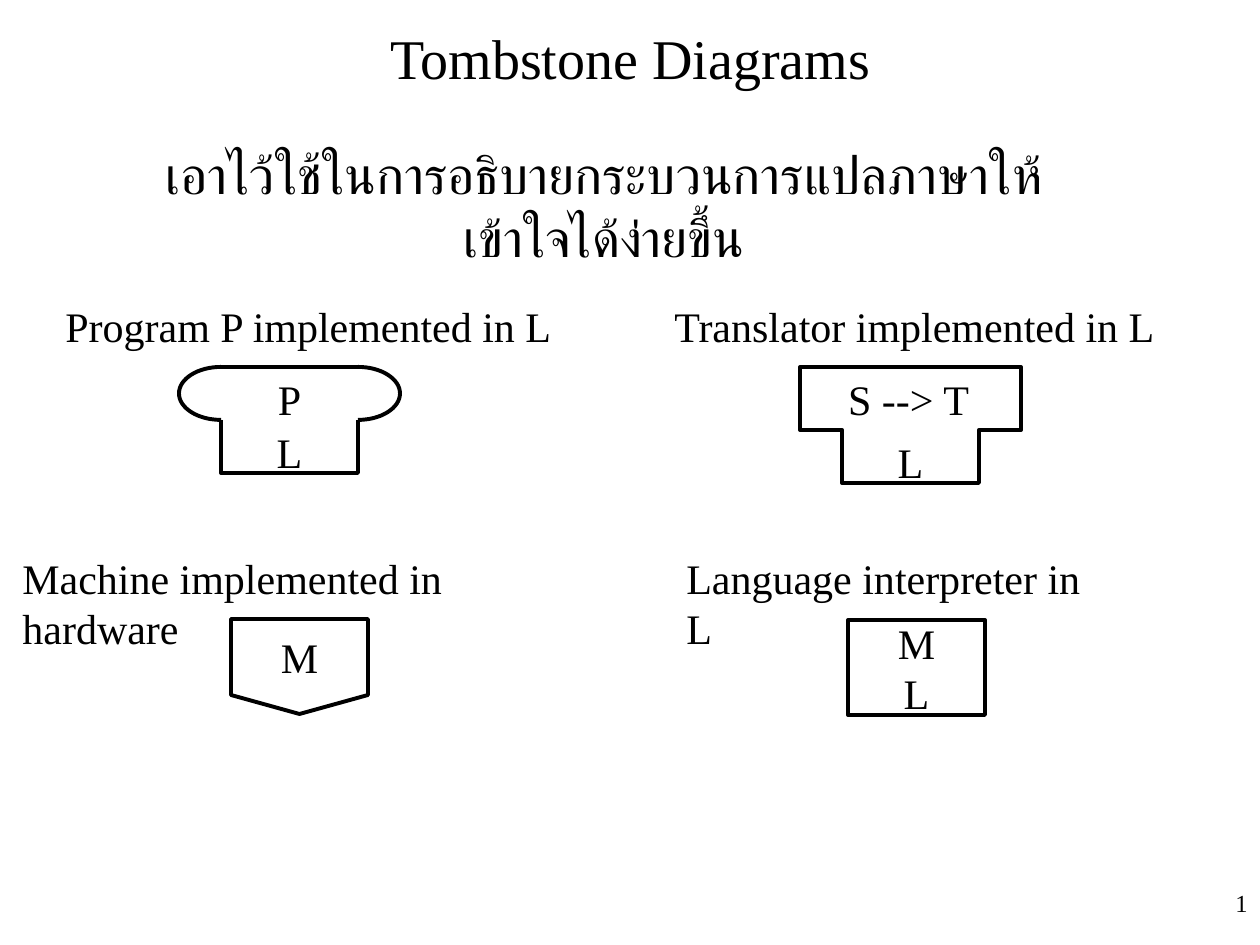
import math
from lxml import etree
from pptx import Presentation
from pptx import util as u
from pptx.dml.color import RGBColor
from pptx.enum import lang, shapes, text
from pptx.oxml.ns import qn

# Content; lengths are px, boxes are (left, top, width, height)
SCALE = 914400 / 126
FONT = "Times New Roman"
COLORS = {"ink": "000000", "paper": "FFFFFF"}
TITLE = ("Tombstone Diagrams", (32, 10, 1197, 94))
SUMMARY = ("เอาไว้ใช้ในการอธิบายกระบวนการแปลภาษาให้เข้าใจได้ง่ายขึ้น", (116, 136, 976, 139))
NUMBER = ("1", (1166, 882, 94, 42))
CAPTIONS = [
    ("Program P implemented in L", (53, 294, 513, 63)),
    ("Translator implemented in L", (662, 294, 507, 63)),
    ("Machine implemented in hardware", (10, 546, 611, 63)),
    ("Language interpreter in L", (674, 546, 455, 63)),
]
TOP = 367
STEM_WIDTH = 137
WING = 42
PROGRAM = {"left": 221, "head": 53, "stem": 53}
TRANSLATOR = {"left": 842, "head": 63, "stem": 53}
BLOCKS = [
    ("M", shapes.MSO_SHAPE.FLOWCHART_OFFPAGE_CONNECTOR, (231, 619, 137, 95)),
    ("M\nL", shapes.MSO_SHAPE.RECTANGLE, (848, 620, 137, 95)),
]
LABELS = [
    ("P", (179, 367, 221, 63)),
    ("L", (221, 420, 137, 63)),
    ("S --> T", (798, 367, 221, 63)),
    ("L", (832, 430, 157, 63)),
]


def px(value):
    return u.Emu(round(value * SCALE))


def color(name):
    return RGBColor.from_string(COLORS[name])


def write(frame, words, size, align, wrap=True):
    frame.text = words
    frame.word_wrap = wrap
    for paragraph in frame.paragraphs:
        paragraph.alignment = align
        for run in paragraph.runs:
            run.font.size = u.Pt(size)
            run.font.color.rgb = color("ink")
            run.font.name = FONT
            complex_font = etree.SubElement(run.font._element, qn("a:cs"))
            complex_font.set("typeface", FONT)


def add_text(words, box, size=24, align=text.PP_ALIGN.CENTER, wrap=True):
    frame = slide.shapes.add_textbox(*map(px, box)).text_frame
    write(frame, words, size, align, wrap)
    frame.auto_size = text.MSO_AUTO_SIZE.SHAPE_TO_FIT_TEXT
    return frame


def outline(shape, filled):
    shape.shadow.inherit = False
    shape.line.color.rgb = color("ink")
    shape.line.width = u.Pt(2.25)
    if filled:
        shape.fill.solid()
        shape.fill.fore_color.rgb = color("paper")
    else:
        shape.fill.background()


def add_path(points, closed=False):
    points = [(px(x), px(y)) for x, y in points]
    builder = slide.shapes.build_freeform(*points[0], scale=1.0)
    builder.add_line_segments(points[1:], close=closed)
    outline(builder.convert_to_shape(), filled=closed)


def half_ellipse(x, top, height, direction, steps=32):
    angles = [math.pi * step / steps for step in range(steps + 1)]
    return [(x + direction * WING * math.sin(angle),
             top + height / 2 * (1 + math.cos(angle))) for angle in angles]


presentation = Presentation()
presentation.slide_width, presentation.slide_height = px(1260), px(945)
slide = presentation.slides.add_slide(presentation.slide_layouts[5])

# Title, summary and slide number
title = slide.shapes.title
title.left, title.top, title.width, title.height = map(px, TITLE[1])
write(title.text_frame, TITLE[0], 32, text.PP_ALIGN.CENTER)
title.text_frame.vertical_anchor = text.MSO_ANCHOR.MIDDLE
summary = add_text(*SUMMARY, size=30)
summary.paragraphs[0].runs[0].font.language_id = lang.MSO_LANGUAGE_ID.THAI
add_text(*NUMBER, size=14, align=text.PP_ALIGN.RIGHT)

# Captions
for words, box in CAPTIONS:
    add_text(words, box, align=text.PP_ALIGN.LEFT, wrap=False)

# Program: rounded head on an open stem
left, right = PROGRAM["left"], PROGRAM["left"] + STEM_WIDTH
neck = TOP + PROGRAM["head"]
foot = neck + PROGRAM["stem"]
edge = slide.shapes.add_connector(
    shapes.MSO_CONNECTOR.STRAIGHT, px(left), px(TOP), px(right), px(TOP))
edge.line.color.rgb = color("ink")
edge.line.width = u.Pt(2.25)
etree.SubElement(edge._element.spPr, qn("a:effectLst"))
add_path(half_ellipse(left, TOP, PROGRAM["head"], -1))
add_path(half_ellipse(right, TOP, PROGRAM["head"], 1))
add_path([(left, neck), (left, foot), (right, foot), (right, neck)])

# Translator: T outline
left, right = TRANSLATOR["left"], TRANSLATOR["left"] + STEM_WIDTH
neck = TOP + TRANSLATOR["head"]
foot = neck + TRANSLATOR["stem"]
add_path([(left - WING, TOP), (right + WING, TOP), (right + WING, neck), (right, neck),
          (right, foot), (left, foot), (left, neck), (left - WING, neck)], closed=True)

# Machine and interpreter
for words, kind, box in BLOCKS:
    block = slide.shapes.add_shape(kind, *map(px, box))
    outline(block, filled=True)
    write(block.text_frame, words, 24, text.PP_ALIGN.CENTER, wrap=False)
    block.text_frame.vertical_anchor = text.MSO_ANCHOR.MIDDLE

# Letters inside the program and translator
for words, box in LABELS:
    add_text(words, box)

presentation.save("out.pptx")
